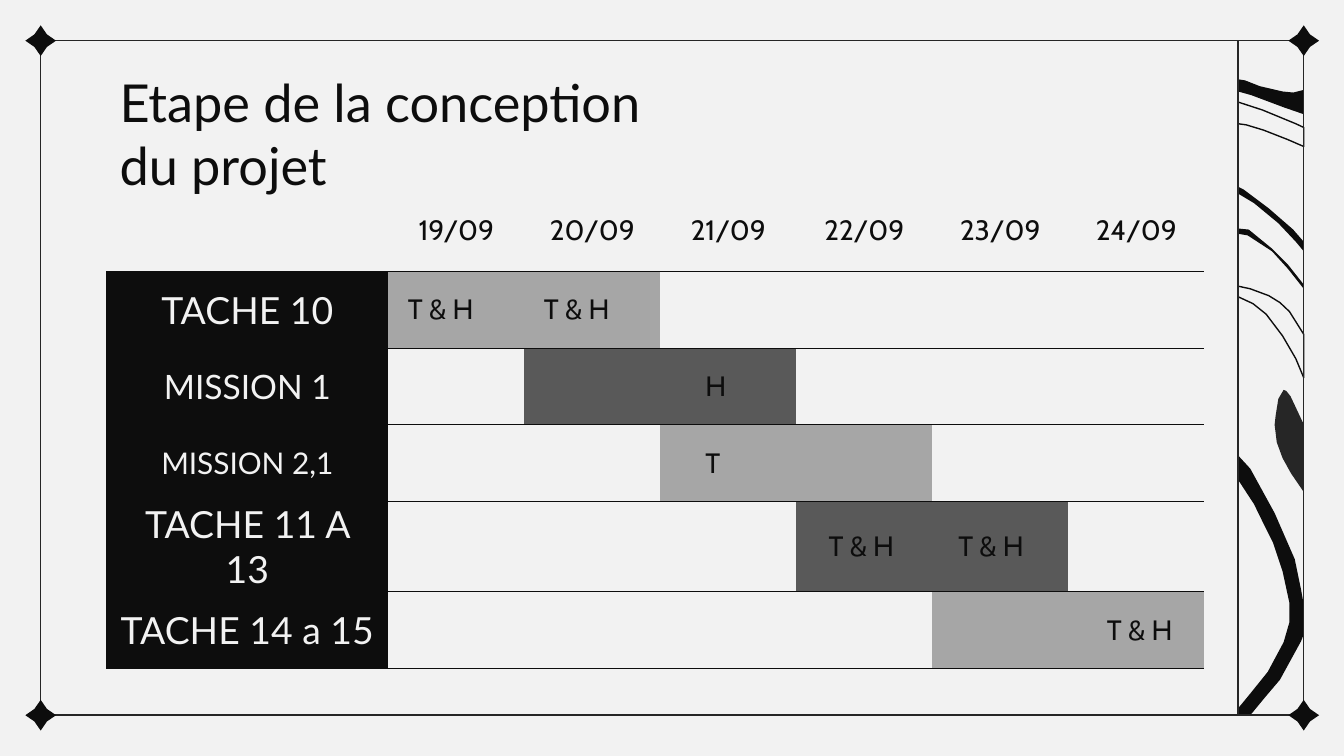
from dataclasses import dataclass
from typing import Optional

import pptx
import pptx.dml.color
import pptx.enum.shapes
import pptx.enum.text
import pptx.oxml
import pptx.oxml.ns
import pptx.util
from pptx.util import Cm

Point = tuple[float, float]


@dataclass(frozen=True)
class Theme:
    paper: str = "F2F2F2"
    ink: str = "0D0D0D"
    soft_ink: str = "262626"
    light_bar: str = "A6A6A6"
    dark_bar: str = "595959"
    heading_font: str = "Lato"
    body_font: str = "Cabin"
    title_size: int = 28
    body_size: int = 15
    line_width: float = 0.75


@dataclass(frozen=True)
class Task:
    label: str
    size: int
    color: str
    first_day: int
    # Owner and extra left indent (cm) for each day of the bar
    owners: tuple[Optional[tuple[str, float]], ...]


@dataclass(frozen=True)
class Ribbon:
    """Two edges in cm: x from the panel's left side, y from the slide's top."""
    upper: list[Point]
    lower: list[Point]
    fill: Optional[str]


THEME = Theme()
FRAME_LEFT, FRAME_TOP, FRAME_WIDTH, FRAME_HEIGHT = 0.77, 0.77, 23.87, 12.75
PANEL_WIDTH = 1.24
PANEL_LEFT = FRAME_LEFT + FRAME_WIDTH - PANEL_WIDTH
STAR_SIZE = 0.58
TABLE_LEFT, TABLE_TOP = 2.01, 3.68
LABEL_WIDTH, DAY_WIDTH, ROW_HEIGHT = 5.33, 2.57, 1.45
INSET = 0.25
NO_GRID_STYLE = "{2D5ABB26-0587-4C30-8999-92F81FD0307C}"

DAYS = [f"{day}/09" for day in range(19, 25)]
TASKS = [
    Task("TACHE 10", 20, THEME.light_bar, 1, (("T & H", 0.12), ("T & H", 0.12))),
    Task("MISSION 1", 18, THEME.dark_bar, 2, (None, ("H", 0.6))),
    Task("MISSION 2,1", 16, THEME.light_bar, 3, (("T", 0.6), None)),
    Task("TACHE 11 A 13", 20, THEME.dark_bar, 4, (("T & H", 0.36), ("T & H", 0.24))),
    Task("TACHE 14 a 15", 20, THEME.light_bar, 5, (None, ("T & H", 0.48))),
]
RIBBONS = [
    Ribbon([(0, 1.5), (0.13, 1.52), (0.41, 1.63), (0.84, 1.73), (1.04, 1.75), (1.24, 1.7)],
           [(0, 1.73), (0.25, 1.8), (0.86, 2.03), (1.24, 2.16)], THEME.ink),
    Ribbon([(0, 1.93), (0.46, 2.08), (1.09, 2.34), (1.24, 2.41)],
           [(0, 2.34), (0.15, 2.36), (0.48, 2.46), (0.94, 2.64), (1.24, 2.77)], None),
    Ribbon([(0, 3.53), (0.1, 3.58), (0.58, 3.94), (1.04, 4.34), (1.24, 4.57)],
           [(0, 3.66), (0.3, 3.84), (0.76, 4.22), (1.09, 4.57), (1.24, 4.75)], THEME.ink),
    Ribbon([(0, 4.32), (0.2, 4.34), (0.64, 4.7), (0.94, 5.0), (1.24, 5.38)],
           [(0, 4.42), (0.18, 4.45), (0.64, 4.75), (0.94, 5.08), (1.24, 5.46)], THEME.ink),
    Ribbon([(0, 5.41), (0.23, 5.46), (0.58, 5.59), (0.79, 5.72), (0.97, 5.89), (1.24, 6.32)],
           [(0, 5.61), (0.28, 5.74), (0.53, 5.94), (0.84, 6.35), (1.09, 6.78), (1.24, 7.14)],
           None),
    Ribbon([(0, 8.61), (0.23, 8.86), (0.69, 9.7), (1.07, 10.57), (1.19, 11.15), (1.24, 11.43),
            (1.24, 11.99), (1.19, 12.12), (0.79, 12.85), (0.51, 13.18), (0.23, 13.52)],
           [(0, 9.07), (0.3, 9.53), (0.51, 9.96), (0.66, 10.26), (0.84, 10.8), (0.97, 11.4),
            (0.97, 11.76), (0.86, 12.14), (0.56, 12.7), (0.23, 13.11), (0, 13.39), (0, 13.52)],
           THEME.ink),
    Ribbon([(0.86, 7.37), (0.91, 7.39), (0.99, 7.49), (1.22, 7.98), (1.24, 8.0)],
           [(0.76, 7.54), (0.71, 7.85), (0.69, 8.03), (0.73, 8.36), (0.84, 8.66),
            (1.0, 8.95), (1.24, 9.3)], THEME.soft_ink),
]


def rgb(color: str) -> pptx.dml.color.RGBColor:
    return pptx.dml.color.RGBColor.from_string(color)


def paint(shape, fill: Optional[str], line: Optional[str]) -> None:
    shape.shadow.inherit = False
    if fill:
        shape.fill.solid()
        shape.fill.fore_color.rgb = rgb(fill)
    else:
        shape.fill.background()
    if line:
        shape.line.color.rgb = rgb(line)
        shape.line.width = pptx.util.Pt(THEME.line_width)
    else:
        shape.line.fill.background()


def add_preset(slide, kind, left: float, top: float, width: float, height: float,
               fill: Optional[str] = None, line: Optional[str] = None):
    shape = slide.shapes.add_shape(kind, Cm(left), Cm(top), Cm(width), Cm(height))
    paint(shape, fill, line)
    return shape


def add_ribbon(slide, ribbon: Ribbon) -> None:
    outline = ribbon.upper + ribbon.lower[::-1]
    vertices = [(Cm(PANEL_LEFT + x), Cm(y)) for x, y in outline]
    builder = slide.shapes.build_freeform(*vertices[0])
    builder.add_line_segments(vertices[1:], close=True)
    paint(builder.convert_to_shape(), ribbon.fill, None if ribbon.fill else THEME.ink)


def add_run(paragraph, text: str, size: int, font: str, color: str) -> None:
    run = paragraph.add_run()
    run.text = text
    run.font.size = pptx.util.Pt(size)
    run.font.name = font
    run.font.color.rgb = rgb(color)


def style_cell(cell, fill: Optional[str] = None, top: float = INSET, bottom: float = INSET,
               indent: float = 0, centered: bool = False) -> None:
    cell.vertical_anchor = pptx.enum.text.MSO_ANCHOR.MIDDLE
    cell.margin_left, cell.margin_right = Cm(INSET + indent), Cm(INSET)
    cell.margin_top, cell.margin_bottom = Cm(top), Cm(bottom)
    if centered:
        cell.text_frame.paragraphs[0].alignment = pptx.enum.text.PP_ALIGN.CENTER
    if fill:
        cell.fill.solid()
        cell.fill.fore_color.rgb = rgb(fill)
    else:
        cell.fill.background()
    # Rule under the cell
    border = pptx.oxml.parse_xml(
        f'<a:lnB {pptx.oxml.ns.nsdecls("a")} w="{pptx.util.Pt(THEME.line_width)}">'
        f'<a:solidFill><a:srgbClr val="{THEME.ink}"/></a:solidFill></a:lnB>')
    cell._tc.get_or_add_tcPr().insert(0, border)


def add_schedule(slide) -> None:
    rows, columns = len(TASKS) + 1, len(DAYS) + 1
    frame = slide.shapes.add_table(
        rows, columns, Cm(TABLE_LEFT), Cm(TABLE_TOP),
        Cm(LABEL_WIDTH + DAY_WIDTH * len(DAYS)), Cm(ROW_HEIGHT * rows))
    table = frame.table
    table.first_row = table.horz_banding = False
    table._tbl.tblPr.find(pptx.oxml.ns.qn("a:tableStyleId")).text = NO_GRID_STYLE
    for index, column in enumerate(table.columns):
        column.width = Cm(DAY_WIDTH if index else LABEL_WIDTH)
    for row in table.rows:
        row.height = Cm(ROW_HEIGHT)

    # Dates
    for index, day in enumerate(["", *DAYS]):
        cell = table.cell(0, index)
        style_cell(cell, top=0.15, centered=True)
        if day:
            add_run(cell.text_frame.paragraphs[0], day, THEME.body_size, THEME.body_font, THEME.ink)

    # Task labels and bars
    for row_index, task in enumerate(TASKS, start=1):
        label = table.cell(row_index, 0)
        style_cell(label, THEME.ink, top=0, bottom=0, centered=True)
        add_run(label.text_frame.paragraphs[0], task.label, task.size,
                THEME.heading_font, THEME.paper)
        bar = dict(enumerate(task.owners, start=task.first_day))
        for column_index in range(1, columns):
            cell = table.cell(row_index, column_index)
            owner, indent = bar.get(column_index) or ("", 0)
            style_cell(cell, task.color if column_index in bar else None, indent=indent)
            if owner:
                add_run(cell.text_frame.paragraphs[0], owner, THEME.body_size,
                        THEME.body_font, THEME.ink)


def add_title(slide, lines: list[str]) -> None:
    box = slide.shapes.add_textbox(Cm(TABLE_LEFT), Cm(1.08), Cm(20.73), Cm(1.65))
    text_frame = box.text_frame
    text_frame.word_wrap = True
    text_frame.margin_left = text_frame.margin_right = Cm(INSET)
    text_frame.margin_top = text_frame.margin_bottom = Cm(INSET)
    paragraph = text_frame.paragraphs[0]
    for index, line in enumerate(lines):
        if index:
            paragraph.add_line_break()
        add_run(paragraph, line, THEME.title_size, THEME.heading_font, THEME.ink)


def main() -> None:
    presentation = pptx.Presentation()
    presentation.slide_width, presentation.slide_height = Cm(25.4), Cm(14.29)
    slide = presentation.slides.add_slide(presentation.slide_layouts[6])
    slide.background.fill.solid()
    slide.background.fill.fore_color.rgb = rgb(THEME.paper)
    shapes = pptx.enum.shapes.MSO_SHAPE

    # Frame and marbled side panel
    add_preset(slide, shapes.RECTANGLE, FRAME_LEFT, FRAME_TOP, FRAME_WIDTH, FRAME_HEIGHT,
               line=THEME.soft_ink)
    for ribbon in RIBBONS:
        add_ribbon(slide, ribbon)
    add_preset(slide, shapes.RECTANGLE, PANEL_LEFT, FRAME_TOP, PANEL_WIDTH, FRAME_HEIGHT,
               line=THEME.soft_ink)

    # Corner stars
    for x in (FRAME_LEFT, FRAME_LEFT + FRAME_WIDTH):
        for y in (FRAME_TOP, FRAME_TOP + FRAME_HEIGHT):
            star = add_preset(slide, shapes.STAR_4_POINT, x - STAR_SIZE / 2, y - STAR_SIZE / 2,
                              STAR_SIZE, STAR_SIZE, fill=THEME.ink)
            star.adjustments[0] = 0.29

    # Content
    add_schedule(slide)
    add_title(slide, ["Etape de la conception ", "du projet"])
    presentation.save("out.pptx")


if __name__ == "__main__":
    main()
